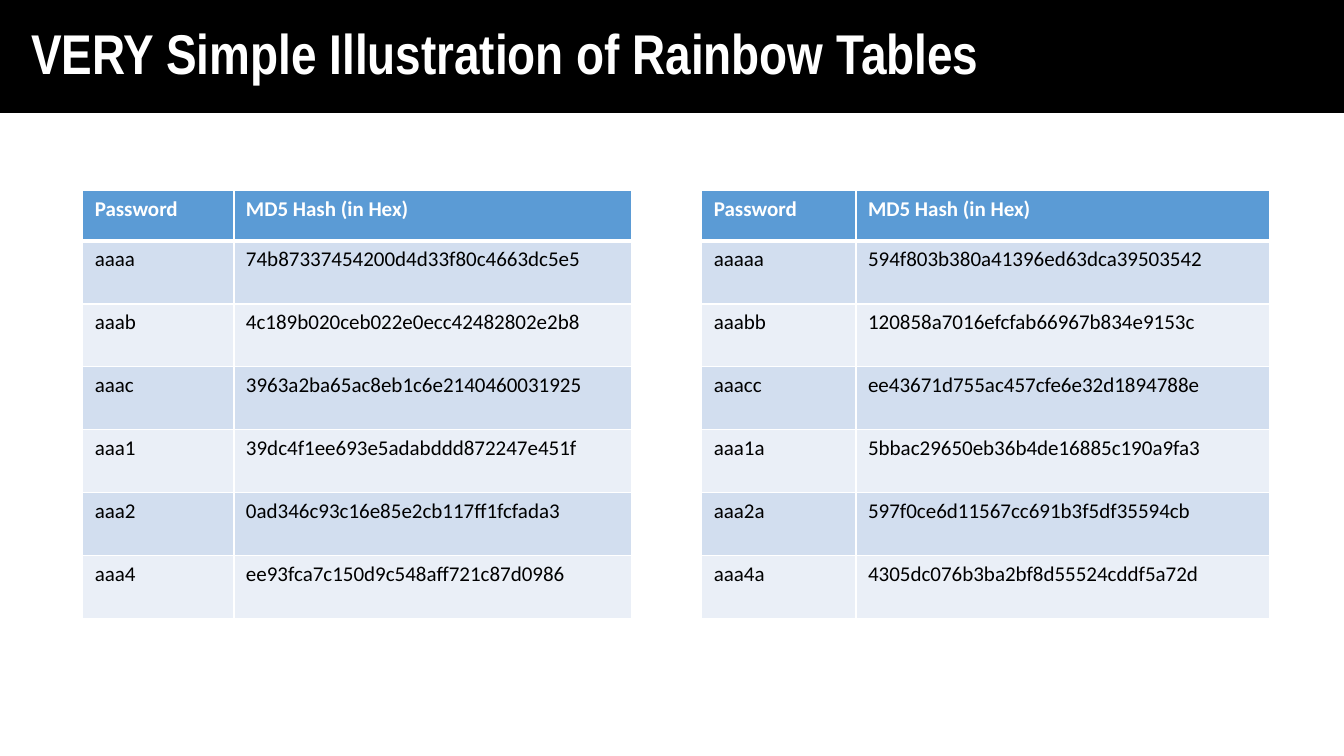
from dataclasses import dataclass

from lxml import etree
from pptx import Presentation
from pptx import util as u
from pptx.dml.color import RGBColor
from pptx.enum import shapes, text
from pptx.oxml import ns


@dataclass(frozen=True)
class Theme:
    black: str = "000000"
    white: str = "FFFFFF"
    header: str = "5B9BD5"
    bands: tuple = ("D2DEEF", "EAEFF7")
    title_font: str = "Arial Narrow"
    table_font: str = "Calibri"
    title_size: int = 40
    table_size: int = 15
    thin_border: int = 1
    header_border: int = 3


THEME = Theme()
HEADINGS = ("Password", "MD5 Hash (in Hex)")
FOUR_LETTER_HASHES = (
    ("aaaa", "74b87337454200d4d33f80c4663dc5e5"),
    ("aaab", "4c189b020ceb022e0ecc42482802e2b8"),
    ("aaac", "3963a2ba65ac8eb1c6e2140460031925"),
    ("aaa1", "39dc4f1ee693e5adabddd872247e451f"),
    ("aaa2", "0ad346c93c16e85e2cb117ff1fcfada3"),
    ("aaa4", "ee93fca7c150d9c548aff721c87d0986"),
)
FIVE_LETTER_HASHES = (
    ("aaaaa", "594f803b380a41396ed63dca39503542"),
    ("aaabb", "120858a7016efcfab66967b834e9153c"),
    ("aaacc", "ee43671d755ac457cfe6e32d1894788e"),
    ("aaa1a", "5bbac29650eb36b4de16885c190a9fa3"),
    ("aaa2a", "597f0ce6d11567cc691b3f5df35594cb"),
    ("aaa4a", "4305dc076b3ba2bf8d55524cddf5a72d"),
)


def rgb(value):
    return RGBColor.from_string(value)


def style_paragraph(paragraph, font_name, size, color, bold):
    font = paragraph.font
    font.name, font.size, font.bold = font_name, u.Pt(size), bold
    font.color.rgb = rgb(color)


def add_title(slide, wording):
    title = slide.shapes.title
    title.left, title.top = u.Inches(0.21), u.Inches(-0.17)
    title.width, title.height = u.Inches(11.5), u.Inches(1.45)
    frame = title.text_frame
    frame.text = wording
    frame.word_wrap = True
    frame.auto_size = text.MSO_AUTO_SIZE.NONE
    frame.vertical_anchor = text.MSO_ANCHOR.MIDDLE
    paragraph = frame.paragraphs[0]
    paragraph.alignment = text.PP_ALIGN.LEFT
    paragraph.line_spacing = 0.9
    style_paragraph(paragraph, THEME.title_font, THEME.title_size, THEME.white, True)


def add_banner(slide, width):
    """Draw the black band behind the title."""
    banner = slide.shapes.add_shape(
        shapes.MSO_SHAPE.RECTANGLE, 0, 0, width, u.Inches(1.11))
    banner.shadow.inherit = False
    banner.fill.solid()
    banner.fill.fore_color.rgb = rgb(THEME.black)
    banner.line.color.rgb = rgb(THEME.black)
    banner.line.width = u.Pt(1)
    slide.shapes.title._element.addprevious(banner._element)


def set_borders(cell, widths):
    """Give the cell white borders; widths are in points, by side."""
    properties = cell._tc.get_or_add_tcPr()
    for position, side in enumerate("LRTB"):
        line = etree.Element(ns.qn(f"a:ln{side}"), w=str(u.Pt(widths[side])))
        fill = etree.SubElement(line, ns.qn("a:solidFill"))
        etree.SubElement(fill, ns.qn("a:srgbClr"), val=THEME.white)
        properties.insert(position, line)


def style_cell(cell, row):
    is_header = row == 0
    cell.margin_left = cell.margin_right = u.Inches(0.12)
    cell.margin_top = cell.margin_bottom = u.Inches(0.06)
    cell.fill.solid()
    cell.fill.fore_color.rgb = rgb(
        THEME.header if is_header else THEME.bands[(row - 1) % 2])
    style_paragraph(cell.text_frame.paragraphs[0], THEME.table_font, THEME.table_size,
                    THEME.white if is_header else THEME.black, is_header)
    widths = dict.fromkeys("LRTB", THEME.thin_border)
    if is_header:
        widths["B"] = THEME.header_border
    elif row == 1:
        widths["T"] = THEME.header_border
    set_borders(cell, widths)


def add_hash_table(slide, left, column_widths, hashes):
    rows = (HEADINGS, *hashes)
    table = slide.shapes.add_table(
        len(rows), len(HEADINGS), u.Inches(left), u.Inches(1.89),
        u.Inches(sum(column_widths)), u.Inches(4.25)).table
    for column, width in zip(table.columns, column_widths):
        column.width = u.Inches(width)
    for row, values in enumerate(rows):
        table.rows[row].height = u.Inches(0.5 if row == 0 else 0.625)
        for column, value in enumerate(values):
            cell = table.cell(row, column)
            cell.text = value
            style_cell(cell, row)


def main():
    presentation = Presentation()
    presentation.slide_width = u.Inches(13.33)
    presentation.slide_height = u.Inches(7.5)
    slide = presentation.slides.add_slide(
        presentation.slide_layouts.get_by_name("Title Only"))
    add_title(slide, "VERY Simple Illustration of Rainbow Tables")
    add_banner(slide, presentation.slide_width)
    add_hash_table(slide, 0.82, (1.5, 3.94), FOUR_LETTER_HASHES)
    add_hash_table(slide, 6.96, (1.53, 4.1), FIVE_LETTER_HASHES)
    presentation.save("out.pptx")


if __name__ == "__main__":
    main()
